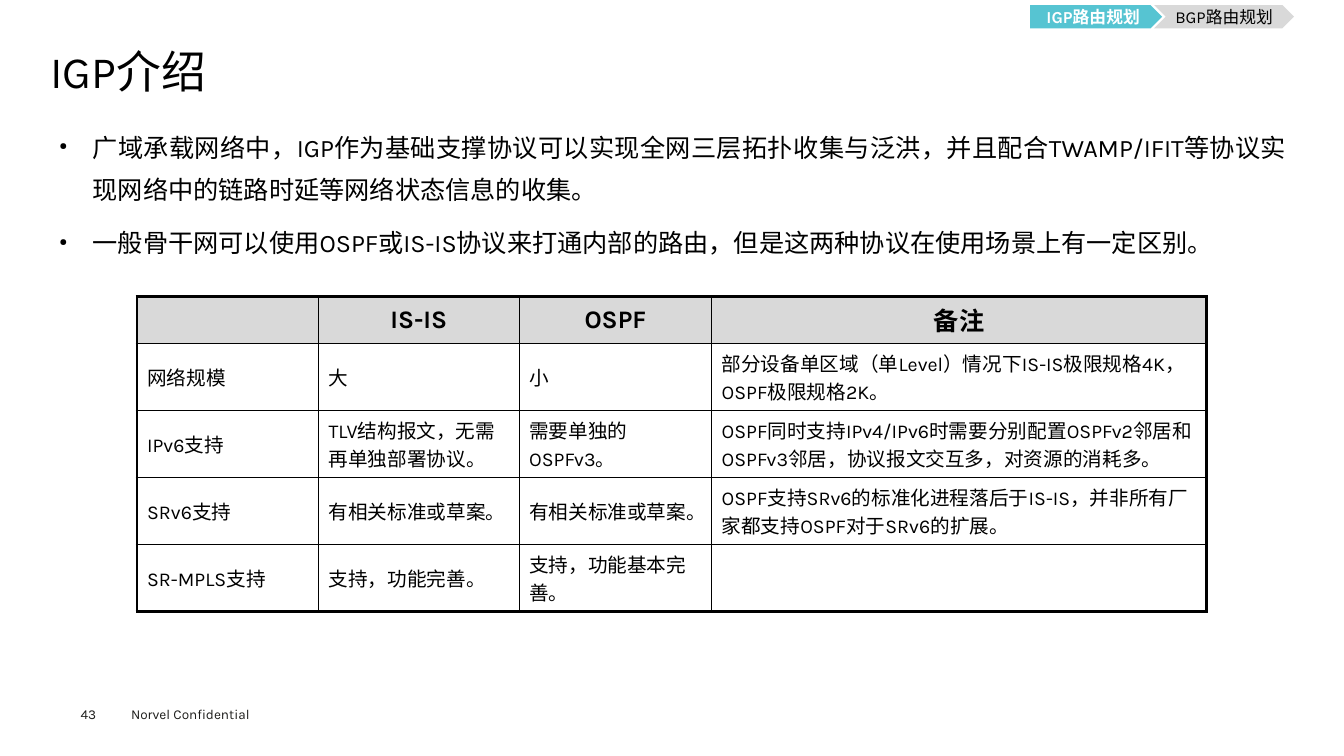
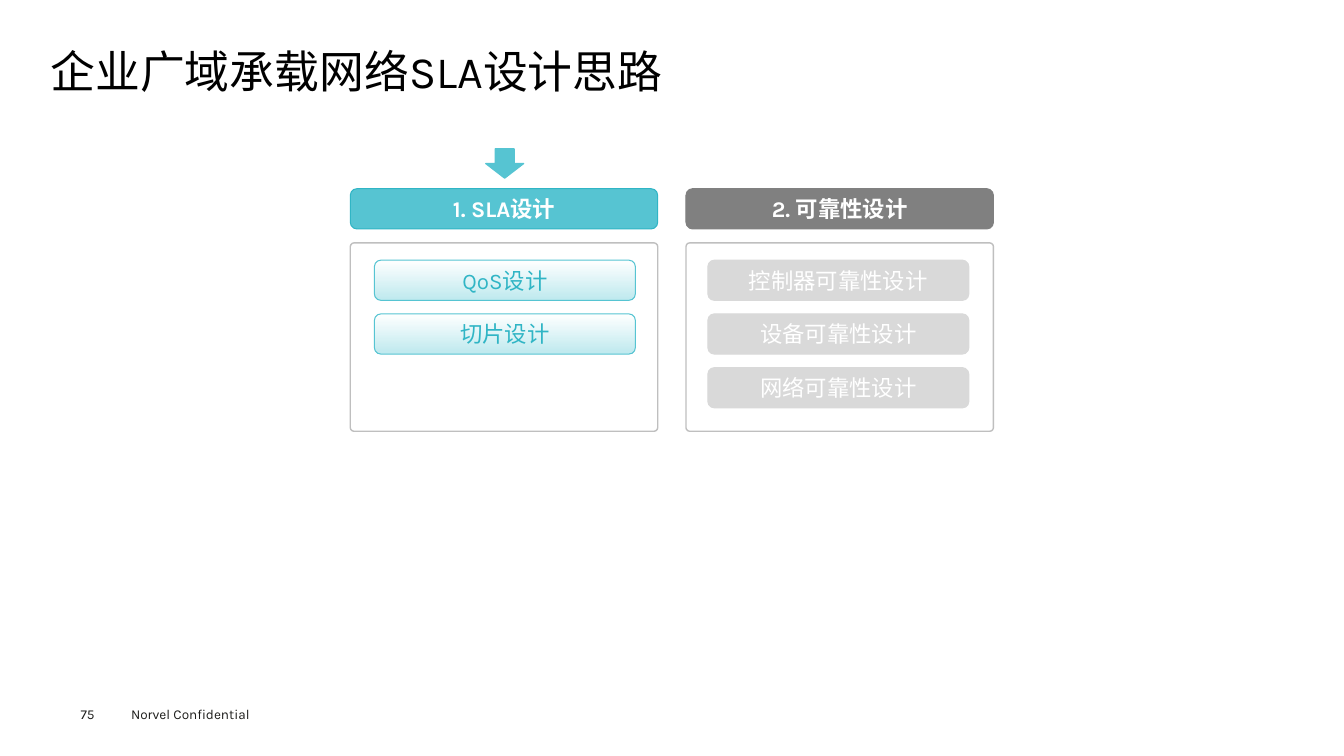
from lxml.etree import SubElement
from pptx import Presentation
from pptx.dml.color import RGBColor
from pptx.enum.lang import MSO_LANGUAGE_ID
from pptx.enum.shapes import MSO_SHAPE
from pptx.enum.text import MSO_ANCHOR, MSO_AUTO_SIZE, PP_ALIGN
from pptx.oxml import parse_xml
from pptx.oxml.ns import nsdecls, qn
from pptx.util import Pt

FONT = "Karla"
BLACK = RGBColor(0x00, 0x00, 0x00)
WHITE = RGBColor(0xFF, 0xFF, 0xFF)
INK = RGBColor(0x1D, 0x1D, 0x1B)
TEAL = RGBColor(0x56, 0xC4, 0xD2)
DEEP_TEAL = RGBColor(0x30, 0xB5, 0xC5)
PALE_TEAL = RGBColor(0xBE, 0xE9, 0xEE)
LIGHT_GREY = RGBColor(0xD9, 0xD9, 0xD9)
MID_GREY = RGBColor(0xBF, 0xBF, 0xBF)
DARK_GREY = RGBColor(0x80, 0x80, 0x80)

FOOTER = "Norvel Confidential"

BULLETS = [
    "广域承载网络中，IGP作为基础支撑协议可以实现全网三层拓扑收集与泛洪，并且配合TWAMP/IFIT等协议实现网络中的链路时延等网络状态信息的收集。",
    "一般骨干网可以使用OSPF或IS-IS协议来打通内部的路由，但是这两种协议在使用场景上有一定区别。",
]

PROTOCOLS = [
    ("", "IS-IS", "OSPF", "备注"),
    ("网络规模", "大", "小", "部分设备单区域（单Level）情况下IS-IS极限规格4K，OSPF极限规格2K。"),
    ("IPv6支持", "TLV结构报文，无需再单独部署协议。", "需要单独的OSPFv3。",
     "OSPF同时支持IPv4/IPv6时需要分别配置OSPFv2邻居和OSPFv3邻居，协议报文交互多，对资源的消耗多。"),
    ("SRv6支持", "有相关标准或草案。", "有相关标准或草案。",
     "OSPF支持SRv6的标准化进程落后于IS-IS，并非所有厂家都支持OSPF对于SRv6的扩展。"),
    ("SR-MPLS支持", "支持，功能完善。", "支持，功能基本完善。", ""),
]
COLUMN_WIDTHS = (129.6, 143.3, 137.5, 353.6)
HEADER_HEIGHT, ROW_HEIGHT = 33.5, 47.9


def add_run(paragraph, text, size, color, bold=False):
    run = paragraph.add_run()
    run.text = text
    font = run.font
    font.name, font.size, font.bold = FONT, Pt(size), bold
    font.color.rgb = color
    font.language_id = MSO_LANGUAGE_ID.SIMPLIFIED_CHINESE


def set_margins(frame, horizontal=0, vertical=0):
    frame.margin_left = frame.margin_right = Pt(horizontal)
    frame.margin_top = frame.margin_bottom = Pt(vertical)


def add_text_frame(slide, left, top, width, height):
    frame = slide.shapes.add_textbox(Pt(left), Pt(top), Pt(width), Pt(height)).text_frame
    frame.word_wrap = True
    set_margins(frame)
    return frame


def add_block(slide, preset, left, top, width, height, fill=None, line=None, line_width=0.75):
    """Add a preset shape; a pair of colours as fill gives a vertical gradient."""
    block = slide.shapes.add_shape(preset, Pt(left), Pt(top), Pt(width), Pt(height))
    block.shadow.inherit = False
    if fill is None:
        block.fill.background()
    elif isinstance(fill, RGBColor):
        block.fill.solid()
        block.fill.fore_color.rgb = fill
    else:
        block.fill.gradient()
        block.fill.gradient_angle = 270
        for stop, color, position in zip(block.fill.gradient_stops, fill, (0, 1)):
            stop.color.rgb = color
            stop.position = position
    if line is None:
        block.line.fill.background()
    else:
        block.line.color.rgb = line
        block.line.width = Pt(line_width)
    return block


def label_block(block, text, size, color, bold=False):
    frame = block.text_frame
    set_margins(frame)
    frame.vertical_anchor = MSO_ANCHOR.MIDDLE
    frame.paragraphs[0].alignment = PP_ALIGN.CENTER
    add_run(frame.paragraphs[0], text, size, color, bold)


def add_page(prs, title, number):
    """Start a slide with the shared title and footer."""
    slide = prs.slides.add_slide(prs.slide_layouts[5])
    heading = slide.shapes.title
    heading.left, heading.top, heading.width, heading.height = Pt(36), Pt(35.3), Pt(889), Pt(38.2)
    frame = heading.text_frame
    set_margins(frame)
    frame.auto_size = MSO_AUTO_SIZE.NONE
    frame.vertical_anchor = MSO_ANCHOR.TOP
    paragraph = frame.paragraphs[0]
    paragraph.alignment = PP_ALIGN.LEFT
    paragraph.line_spacing = 0.9
    add_run(paragraph, title, 32, BLACK)

    for text, left, width in ((number, 57.6, 32), (FOOTER, 93.6, 120)):
        footer = add_text_frame(slide, left, 504, width, 12)
        add_run(footer.paragraphs[0], text, 9.7, INK)
    return slide


def add_route_tabs(slide, left, top):
    height = 16.6
    current = add_block(slide, MSO_SHAPE.PENTAGON, left, top, 94.3, height, TEAL)
    label_block(current, "IGP路由规划", 12, WHITE, bold=True)
    following = add_block(slide, MSO_SHAPE.CHEVRON, left + 88.6, top, 100, height, LIGHT_GREY)
    label_block(following, "BGP路由规划", 12, BLACK)


def add_bullets(slide, left, top, width, height):
    frame = add_text_frame(slide, left, top, width, height)
    set_margins(frame, 6.5, 2.9)
    for index, text in enumerate(BULLETS):
        paragraph = frame.paragraphs[0] if index == 0 else frame.add_paragraph()
        paragraph.alignment = PP_ALIGN.JUSTIFY
        paragraph.line_spacing = 1.4
        if index:
            paragraph.space_before = Pt(7.9)
        properties = paragraph._p.get_or_add_pPr()
        properties.set("marL", str(Pt(23.8)))
        properties.set("indent", str(Pt(-23.8)))
        SubElement(properties, qn("a:buSzPct")).set("val", "40000")
        SubElement(properties, qn("a:buChar")).set("char", "●")
        add_run(paragraph, text, 18, BLACK)


def set_borders(cell, widths):
    """Draw the left, right, top and bottom borders in the given widths."""
    properties = cell._tc.get_or_add_tcPr()
    for side, width in zip("LRTB", widths):
        properties.append(parse_xml(
            f'<a:ln{side} {nsdecls("a")} w="{Pt(width)}"><a:solidFill>'
            f'<a:srgbClr val="{BLACK}"/></a:solidFill></a:ln{side}>'))


def add_protocol_table(slide, left, top):
    row_count, column_count = len(PROTOCOLS), len(COLUMN_WIDTHS)
    heights = [HEADER_HEIGHT] + [ROW_HEIGHT] * (row_count - 1)
    table = slide.shapes.add_table(row_count, column_count, Pt(left), Pt(top),
                                   Pt(sum(COLUMN_WIDTHS)), Pt(sum(heights))).table
    table.first_row = table.horz_banding = False
    for column, width in zip(table.columns, COLUMN_WIDTHS):
        column.width = Pt(width)
    for r, (texts, height) in enumerate(zip(PROTOCOLS, heights)):
        table.rows[r].height = Pt(height)
        header = r == 0
        for c, text in enumerate(texts):
            cell = table.cell(r, c)
            outer = (c == 0, c == column_count - 1, header, r == row_count - 1)
            set_borders(cell, [2.25 if edge else 1 for edge in outer])
            if header:
                cell.fill.solid()
                cell.fill.fore_color.rgb = LIGHT_GREY
            else:
                cell.fill.background()
            cell.vertical_anchor = MSO_ANCHOR.MIDDLE
            if text:
                paragraph = cell.text_frame.paragraphs[0]
                paragraph.alignment = PP_ALIGN.CENTER if header else PP_ALIGN.LEFT
                add_run(paragraph, text, 18 if header else 14, BLACK, bold=header)


def add_design_card(slide, left, top, heading, topics, inset, heading_style, topic_style):
    """Add a heading bar above a framed stack of topics; styles are fill, line, text."""
    width, bar_height = 219.6, 28.8
    rounded = MSO_SHAPE.ROUNDED_RECTANGLE
    fill, line, color = heading_style
    bar = add_block(slide, rounded, left, top, width, bar_height, fill, line)
    label_block(bar, heading, 16, color, bold=True)
    panel = add_block(slide, rounded, left, top + 38.7, width, 134.6, line=MID_GREY, line_width=1)
    panel.adjustments[0] = 0.02
    fill, line, color = topic_style
    for index, topic in enumerate(topics):
        button = add_block(slide, rounded, left + inset, top + 51 + 38.4 * index,
                           186.5, bar_height, fill, line)
        label_block(button, topic, 16, color)


def build_igp_slide(prs):
    slide = add_page(prs, "IGP介绍", "43")
    add_bullets(slide, 36, 82.8, 889, 118)
    add_protocol_table(slide, 97.9, 211.7)
    add_route_tabs(slide, 735.8, 3.6)


def build_sla_slide(prs):
    slide = add_page(prs, "企业广域承载网络SLA设计思路", "75")
    top = 134.8
    add_block(slide, MSO_SHAPE.DOWN_ARROW, 347, top - 28.4, 27, 20.8, TEAL, TEAL, 1)
    add_design_card(slide, 250.2, top, "1. SLA设计", ["QoS设计", "切片设计"], 17.2,
                    (TEAL, DEEP_TEAL, WHITE), ((WHITE, PALE_TEAL), TEAL, DEEP_TEAL))
    add_design_card(slide, 490, top, "2. 可靠性设计",
                    ["控制器可靠性设计", "设备可靠性设计", "网络可靠性设计"], 15.6,
                    (DARK_GREY, DARK_GREY, WHITE), (LIGHT_GREY, LIGHT_GREY, WHITE))


def main():
    prs = Presentation()
    prs.slide_width, prs.slide_height = Pt(960), Pt(540)
    build_igp_slide(prs)
    build_sla_slide(prs)
    prs.save("out.pptx")


if __name__ == "__main__":
    main()
